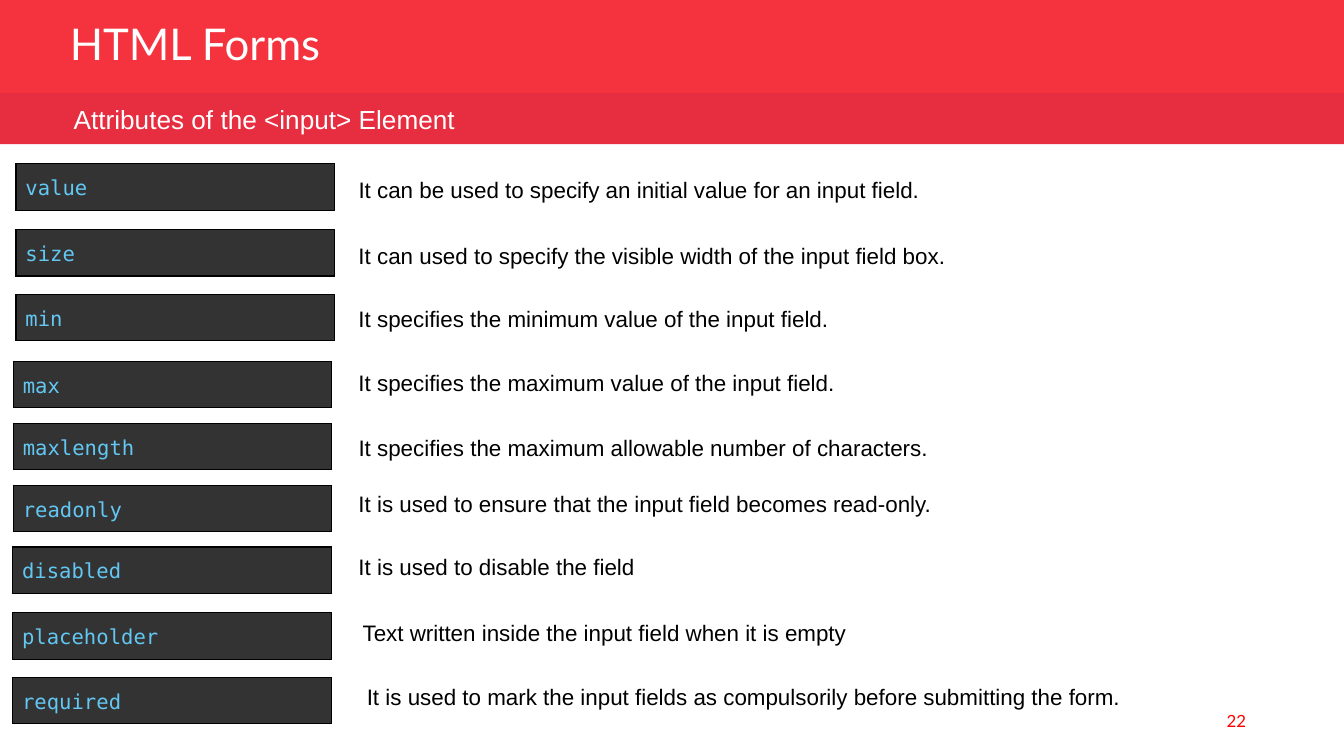
"""Build the slide listing attributes of the HTML input element."""
from typing import Any, NamedTuple

from lxml import etree
from pptx import Presentation
from pptx.dml.color import RGBColor
from pptx.enum.shapes import MSO_SHAPE
from pptx.enum.text import MSO_ANCHOR, MSO_AUTO_SIZE, PP_ALIGN
from pptx.oxml.ns import qn
from pptx.util import Pt

RECT = MSO_SHAPE.RECTANGLE
TOP, MIDDLE = MSO_ANCHOR.TOP, MSO_ANCHOR.MIDDLE
LEFT, RIGHT = PP_ALIGN.LEFT, PP_ALIGN.RIGHT
NO_FIT = MSO_AUTO_SIZE.NONE

CORAL = RGBColor(0xF5, 0x33, 0x3F)
CRIMSON = RGBColor(0xE7, 0x2D, 0x40)
RED = RGBColor(0xFF, 0x00, 0x00)
WHITE = RGBColor(0xFF, 0xFF, 0xFF)
BLACK = RGBColor(0x00, 0x00, 0x00)
CHARCOAL = RGBColor(0x33, 0x33, 0x33)
SKY = RGBColor(0x62, 0xC8, 0xF3)

TITLE = {"name": "Lato", "size": Pt(23.4)}
SUBTITLE = {"name": "Arial", "size": Pt(14)}
BODY = {"name": "Arial", "size": Pt(12)}
CODE = {"name": "DejaVu Sans Mono", "size": Pt(11)}
NUMBER = {"name": "Lato", "size": Pt(9)}
FRAME = {"word_wrap": True, "auto_size": NO_FIT}
PLAIN_TABLE = {"first_row": False, "horz_banding": False}
CELL_MARGINS = {f"margin_{side}": Pt(5.04) for side in ("left", "top", "right", "bottom")}

SLIDE_W, SLIDE_H = 720, 405
CODE_W, CODE_H, TEXT_H = 170.6, 24.5, 21.6


class Box(NamedTuple):
    left: float
    top: float
    width: float
    height: float


class Attribute(NamedTuple):
    name: str
    name_left: float
    name_top: float
    text: str
    text_left: float
    text_top: float
    text_width: float


ATTRIBUTES = [
    Attribute("value", 8.6, 87.8, "It can be used to specify an initial value for an input field.", 185, 90.7, 514),
    Attribute("size", 8.6, 123.1, "It can used to specify the visible width of the input field box.", 185, 126, 507),
    Attribute("min", 8.6, 157.7, "It specifies the minimum value of the input field.", 185, 159.8, 429),
    Attribute("max", 7.2, 193.7, "It specifies the maximum value of the input field.", 185, 194.4, 487.4),
    Attribute("maxlength", 7.2, 226.8, "It specifies the maximum allowable number of characters.", 185, 229, 497),
    Attribute("readonly", 7.2, 259.9, "It is used to ensure that the input field becomes read-only.", 185, 259.2, 338),
    Attribute("disabled", 6.8, 293, "It is used to disable the field", 185, 293, 535),
    Attribute("placeholder", 6.8, 328.3, "Text written inside the input field when it is empty", 187.2, 328.3, 379),
    Attribute("required", 6.8, 362.9, "It is used to mark the input fields as compulsorily before submitting the form.",
              189.4, 362.2, 514),
]


def apply(obj: Any, values: dict[str, Any]) -> None:
    """Set each named attribute on an object."""
    for key, value in values.items():
        setattr(obj, key, value)


def write(tf: Any, text: str, font: dict[str, Any], color: RGBColor,
          align: int = LEFT, spacing: float = 1.0) -> None:
    """Fill a text frame with one formatted run."""
    p = tf.paragraphs[0]
    apply(p, {"alignment": align, "line_spacing": spacing})
    r = p.add_run()
    r.text = text
    apply(r.font, font)
    r.font.color.rgb = color


def add_band(s: Any, box: Box, color: RGBColor) -> Any:
    """Draw a plain horizontal band."""
    sp = s.shapes.add_shape(RECT, *map(Pt, box))
    sp.shadow.inherit = False
    sp.fill.solid()
    sp.fill.fore_color.rgb = color
    sp.line.fill.background()
    return sp


def add_text(s: Any, box: Box, text: str, font: dict[str, Any], color: RGBColor,
             anchor: int = TOP, align: int = LEFT) -> None:
    """Add a wrapped text box."""
    tf = s.shapes.add_textbox(*map(Pt, box)).text_frame
    apply(tf, FRAME | {"vertical_anchor": anchor})
    write(tf, text, font, color, align)


def add_borders(cell: Any, color: RGBColor, width: float) -> None:
    """Outline a table cell on every side."""
    tc_pr = cell._tc.get_or_add_tcPr()
    for side in ("lnL", "lnR", "lnT", "lnB"):
        ln = etree.SubElement(tc_pr, qn(f"a:{side}"), w=str(Pt(width)))
        fill = etree.SubElement(ln, qn("a:solidFill"))
        etree.SubElement(fill, qn("a:srgbClr"), val=str(color))


def add_code(s: Any, box: Box, text: str) -> None:
    """Add a one-cell table holding a code word."""
    table = s.shapes.add_table(1, 1, *map(Pt, box)).table
    apply(table, PLAIN_TABLE)
    cell = table.cell(0, 0)
    apply(cell, CELL_MARGINS)
    add_borders(cell, BLACK, 0.75)
    cell.fill.solid()
    cell.fill.fore_color.rgb = CHARCOAL
    write(cell.text_frame, text, CODE, SKY, spacing=1.15)


def add_title(s: Any, box: Box, text: str, band: Any) -> None:
    """Place the title placeholder in front of its band."""
    sp = s.shapes.title
    apply(sp, {key: Pt(value) for key, value in box._asdict().items()})
    apply(sp.text_frame, FRAME | {"vertical_anchor": MIDDLE})
    write(sp.text_frame, text, TITLE, WHITE, spacing=0.8)
    band.element.addnext(sp.element)


def main() -> None:
    """Create and save the presentation."""
    prs = Presentation()
    apply(prs, {"slide_width": Pt(SLIDE_W), "slide_height": Pt(SLIDE_H)})
    s = prs.slides.add_slide(prs.slide_layouts.get_by_name("Title Only"))
    header = add_band(s, Box(0, 0, SLIDE_W, 50.4), CORAL)
    add_title(s, Box(30.2, 10.1, 337.7, 31.7), "HTML Forms", header)
    add_text(s, Box(512.6, 375.1, 162, TEXT_H), "22", NUMBER, RED, MIDDLE, RIGHT)
    add_band(s, Box(0, 49.8, SLIDE_W, 27.4), CRIMSON)
    add_text(s, Box(32.4, 51.8, 258.5, 24.5), "Attributes of the <input> Element", SUBTITLE, WHITE)
    for a in ATTRIBUTES:
        add_code(s, Box(a.name_left, a.name_top, CODE_W, CODE_H), a.name)
        add_text(s, Box(a.text_left, a.text_top, a.text_width, TEXT_H), a.text, BODY, BLACK)
    prs.save("out.pptx")


if __name__ == "__main__":
    main()
